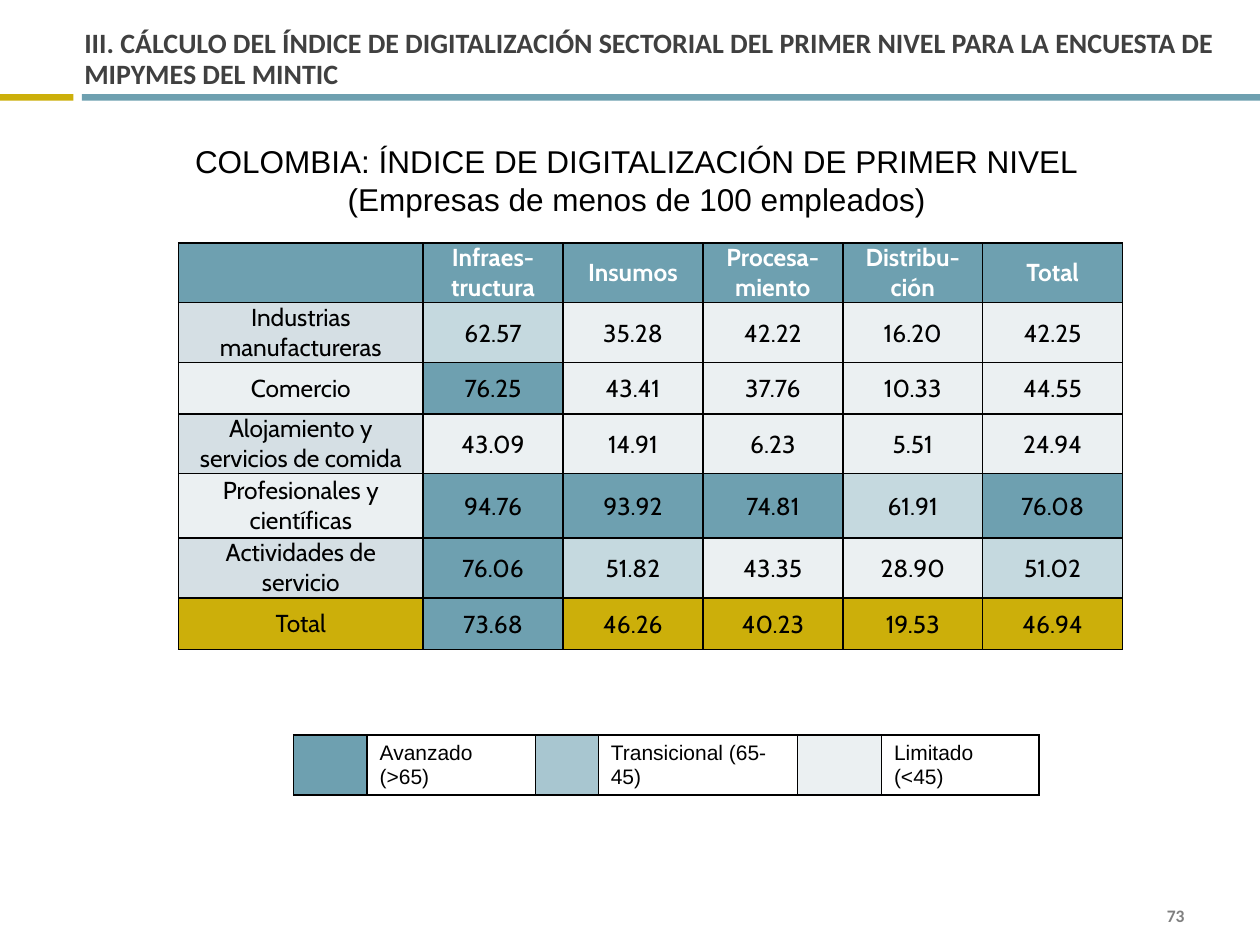
from lxml.etree import SubElement
from pptx import Presentation
from pptx.dml.color import RGBColor
from pptx.enum.shapes import MSO_SHAPE
from pptx.enum.text import MSO_ANCHOR, MSO_AUTO_SIZE, PP_ALIGN
from pptx.oxml.ns import qn
from pptx.util import Cm, Pt

COLORS = {
    "teal": "6EA0B0", "gold": "CCAF0A", "sky": "A8C6D0",
    "transitional": "C5D9DF", "limited": "EBF0F2", "band": "D5DFE4",
    "black": "000000", "white": "FFFFFF", "title": "404040", "number": "7F7F7F",
}

HEADINGS = ["", "Infraes-\ntructura", "Insumos", "Procesa-\nmiento", "Distribu-\nción", "Total"]
SECTORS = [
    ("Industrias manufactureras", [62.57, 35.28, 42.22, 16.20, 42.25]),
    ("Comercio", [76.25, 43.41, 37.76, 10.33, 44.55]),
    ("Alojamiento y servicios de comida", [43.09, 14.91, 6.23, 5.51, 24.94]),
    ("Profesionales y científicas", [94.76, 93.92, 74.81, 61.91, 76.08]),
    ("Actividades de servicio", [76.06, 51.82, 43.35, 28.90, 51.02]),
    ("Total", [73.68, 46.26, 40.23, 19.53, 46.94]),
]
LEGEND = [("teal", "Avanzado (>65)"), ("sky", "Transicional (65-45)"), ("limited", "Limitado (<45)")]

LABEL_INSETS = (0.18, 0, 0.18, 0)
VALUE_INSETS = (0.03, 0.03, 0.03, 0)


def color(name):
    return RGBColor.from_string(COLORS[name])


def write(frame, text, size=18, font="Arial", ink="black", bold=False,
          align=PP_ALIGN.LEFT, spacing=None):
    """Put text in a frame, one paragraph for each line."""
    for i, line in enumerate(text.split("\n")):
        paragraph = frame.paragraphs[0] if i == 0 else frame.add_paragraph()
        paragraph.alignment = align
        if spacing:
            paragraph.line_spacing = Pt(spacing)
        run = paragraph.add_run()
        run.text = line
        run.font.size, run.font.name, run.font.bold = Pt(size), font, bold
        run.font.color.rgb = color(ink)


def level(value, is_total):
    """Name the fill for an index value."""
    if value > 65:
        return "teal"
    if is_total:
        return "gold"
    return "transitional" if value > 45 else "limited"


class SlideBuilder:
    def __init__(self, slide, table_font="Cabin", border=1):
        self.slide = slide
        self.table_font = table_font
        self.border = border

    def bar(self, left, top, width, height, fill):
        bar = self.slide.shapes.add_shape(
            MSO_SHAPE.RECTANGLE, Cm(left), Cm(top), Cm(width), Cm(height))
        bar.shadow.inherit = False
        bar.fill.solid()
        bar.fill.fore_color.rgb = color(fill)
        bar.line.fill.background()

    def text(self, left, top, width, height, text, anchor=MSO_ANCHOR.TOP,
             insets=(0.25, 0.13, 0.25, 0.13), wrap=True, **style):
        frame = self.slide.shapes.add_textbox(
            Cm(left), Cm(top), Cm(width), Cm(height)).text_frame
        frame.word_wrap = wrap
        frame.auto_size = MSO_AUTO_SIZE.NONE if wrap else MSO_AUTO_SIZE.SHAPE_TO_FIT_TEXT
        frame.vertical_anchor = anchor
        (frame.margin_left, frame.margin_top,
         frame.margin_right, frame.margin_bottom) = map(Cm, insets)
        write(frame, text, **style)

    def table(self, left, top, widths, heights):
        table = self.slide.shapes.add_table(
            len(heights), len(widths), Cm(left), Cm(top),
            Cm(sum(widths)), Cm(sum(heights))).table
        table.first_row = table.horz_banding = False
        for column, width in zip(table.columns, widths):
            column.width = Cm(width)
        for row, height in zip(table.rows, heights):
            row.height = Cm(height)
        return table

    def cell(self, cell, text="", fill=None, insets=None, anchor=MSO_ANCHOR.MIDDLE, **style):
        cell.vertical_anchor = anchor
        if insets:
            (cell.margin_left, cell.margin_top,
             cell.margin_right, cell.margin_bottom) = map(Cm, insets)
        # Borders come before the fill in the cell properties
        properties = cell._tc.get_or_add_tcPr()
        for side in ("a:lnL", "a:lnR", "a:lnT", "a:lnB"):
            line = SubElement(properties, qn(side), w=str(Pt(self.border)))
            solid = SubElement(line, qn("a:solidFill"))
            SubElement(solid, qn("a:srgbClr"), val=COLORS["black"])
        if fill:
            cell.fill.solid()
            cell.fill.fore_color.rgb = color(fill)
        else:
            cell.fill.background()
        if text:
            write(cell.text_frame, text, **style)

    def index_table(self, left, top):
        table = self.table(left, top, [4.93] + [2.82] * 5, [1.04] * 4 + [1.3] + [1.04] * 2)
        style = dict(size=14, font=self.table_font, align=PP_ALIGN.CENTER)
        for col, heading in enumerate(HEADINGS):
            self.cell(table.cell(0, col), heading, "teal", LABEL_INSETS,
                      ink="white", bold=True, **style)
        for row, (sector, values) in enumerate(SECTORS, 1):
            is_total = row == len(SECTORS)
            label_fill = "gold" if is_total else "band" if row % 2 else "limited"
            self.cell(table.cell(row, 0), sector, label_fill, LABEL_INSETS, **style)
            for col, value in enumerate(values, 1):
                self.cell(table.cell(row, col), f"{value:.2f}",
                          level(value, is_total), VALUE_INSETS, **style)

    def legend(self, left, top):
        table = self.table(left, top, [1.48, 3.39, 1.27, 4.02, 1.69, 3.18], [0.81])
        for i, (fill, label) in enumerate(LEGEND):
            self.cell(table.cell(0, 2 * i), fill=fill)
            self.cell(table.cell(0, 2 * i + 1), label, anchor=MSO_ANCHOR.TOP, size=12)


def main():
    deck = Presentation()
    deck.slide_width, deck.slide_height = Cm(25.4), Cm(19.05)
    page = SlideBuilder(deck.slides.add_slide(deck.slide_layouts[6]))

    # Header: rules and title
    page.bar(0, 1.9, 1.48, 0.13, "gold")
    page.bar(1.65, 1.9, 23.75, 0.13, "teal")
    page.text(1.7, 0.2, 22.86, 1.7,
              "III. CÁLCULO DEL ÍNDICE DE DIGITALIZACIÓN SECTORIAL DEL PRIMER NIVEL "
              "PARA LA ENCUESTA DE MIPYMES DEL MINTIC",
              anchor=MSO_ANCHOR.BOTTOM, insets=(0, 0.13, 0, 0.08),
              size=16, font="Calibri", ink="title", bold=True, spacing=18)

    # Index by sector
    page.index_table(3.6, 4.9)
    page.legend(5.92, 14.82)
    page.text(3.6, 2.74, 18.47, 1.8,
              "COLOMBIA: ÍNDICE DE DIGITALIZACIÓN DE PRIMER NIVEL\n"
              "(Empresas de menos de 100 empleados)",
              wrap=False, align=PP_ALIGN.CENTER)

    # Page number
    page.text(18.2, 18.2, 5.93, 0.52, "73", anchor=MSO_ANCHOR.MIDDLE, size=10,
              font="Calibri", ink="number", bold=True, align=PP_ALIGN.RIGHT)

    deck.save("out.pptx")


if __name__ == "__main__":
    main()
